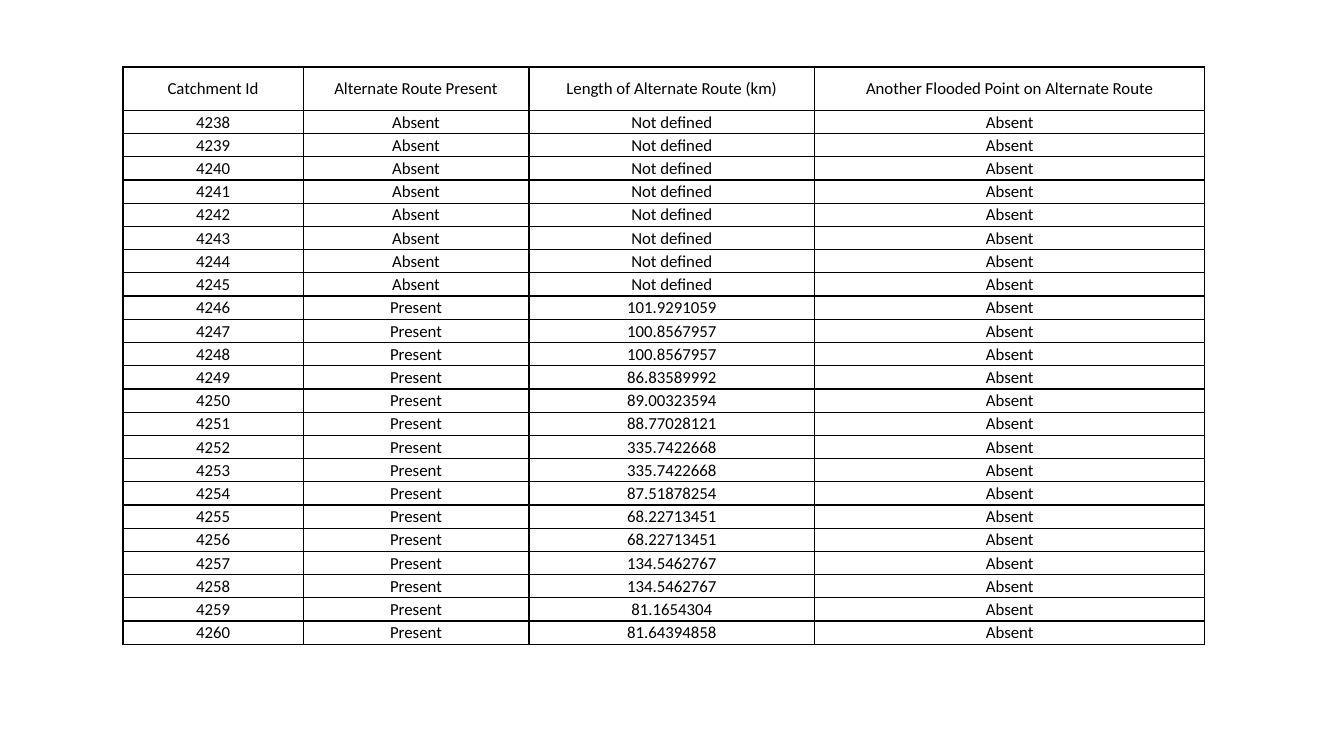
from dataclasses import astuple, dataclass

from lxml.etree import SubElement
from pptx import Presentation
from pptx.dml.color import RGBColor
from pptx.enum.text import MSO_ANCHOR, PP_ALIGN
from pptx.oxml.ns import qn
from pptx.table import Table, _Cell
from pptx.util import Cm, Pt

COLORS = {"background": "FFFFFF", "text": "000000", "border": "000000"}
FONT_NAME = "Calibri"
FONT_SIZE = Pt(12)
BORDER_WIDTH = Pt(1)

TABLE_LEFT, TABLE_TOP = 3.1, 1.69
TABLE_HEIGHT, HEADER_HEIGHT = 14.55, 1.09
COLUMN_WIDTHS = (4.54, 5.69, 7.2, 9.83)

HEADERS = (
    "Catchment Id",
    "Alternate Route Present",
    "Length of Alternate Route (km)",
    "Another Flooded Point on Alternate Route",
)
FIRST_CATCHMENT = 4238
ROUTE_LENGTHS = ("Not defined",) * 8 + (
    "101.9291059", "100.8567957", "100.8567957", "86.83589992", "89.00323594",
    "88.77028121", "335.7422668", "335.7422668", "87.51878254", "68.22713451",
    "68.22713451", "134.5462767", "134.5462767", "81.1654304", "81.64394858",
)


@dataclass
class Catchment:
    identifier: str
    alternate_route: str
    route_length: str
    flooded_point: str = "Absent"


def list_catchments() -> list[Catchment]:
    return [
        Catchment(str(number), "Absent" if length == "Not defined" else "Present", length)
        for number, length in enumerate(ROUTE_LENGTHS, FIRST_CATCHMENT)
    ]


def add_borders(cell: _Cell) -> None:
    properties = cell._tc.get_or_add_tcPr()
    for side in ("a:lnL", "a:lnR", "a:lnT", "a:lnB"):
        line = SubElement(properties, qn(side), w=str(BORDER_WIDTH))
        fill = SubElement(line, qn("a:solidFill"))
        SubElement(fill, qn("a:srgbClr"), val=COLORS["border"])


def format_cell(cell: _Cell, text: str) -> None:
    add_borders(cell)
    cell.fill.solid()
    cell.fill.fore_color.rgb = RGBColor.from_string(COLORS["background"])
    cell.vertical_anchor = MSO_ANCHOR.MIDDLE
    cell.margin_left = cell.margin_right = cell.margin_top = Cm(0.02)
    cell.margin_bottom = 0
    cell.text_frame.text = text
    paragraph = cell.text_frame.paragraphs[0]
    paragraph.alignment = PP_ALIGN.CENTER
    font = paragraph.runs[0].font
    font.name = FONT_NAME
    font.size = FONT_SIZE
    font.bold = False
    font.color.rgb = RGBColor.from_string(COLORS["text"])


def fill_table(table: Table, records: list[tuple[str, ...]]) -> None:
    table.first_row = False
    table.horz_banding = False
    for column, width in zip(table.columns, COLUMN_WIDTHS):
        column.width = Cm(width)
    body_height = (TABLE_HEIGHT - HEADER_HEIGHT) / (len(records) - 1)
    for index, (row, record) in enumerate(zip(table.rows, records)):
        row.height = Cm(body_height if index else HEADER_HEIGHT)
        for cell, text in zip(row.cells, record):
            format_cell(cell, text)


def main() -> None:
    presentation = Presentation()
    presentation.slide_width = Cm(33.87)
    presentation.slide_height = Cm(19.05)
    slide = presentation.slides.add_slide(presentation.slide_layouts[6])
    records = [HEADERS, *map(astuple, list_catchments())]
    shape = slide.shapes.add_table(
        len(records), len(HEADERS),
        Cm(TABLE_LEFT), Cm(TABLE_TOP), Cm(sum(COLUMN_WIDTHS)), Cm(TABLE_HEIGHT),
    )
    fill_table(shape.table, records)
    presentation.save("out.pptx")


if __name__ == "__main__":
    main()
